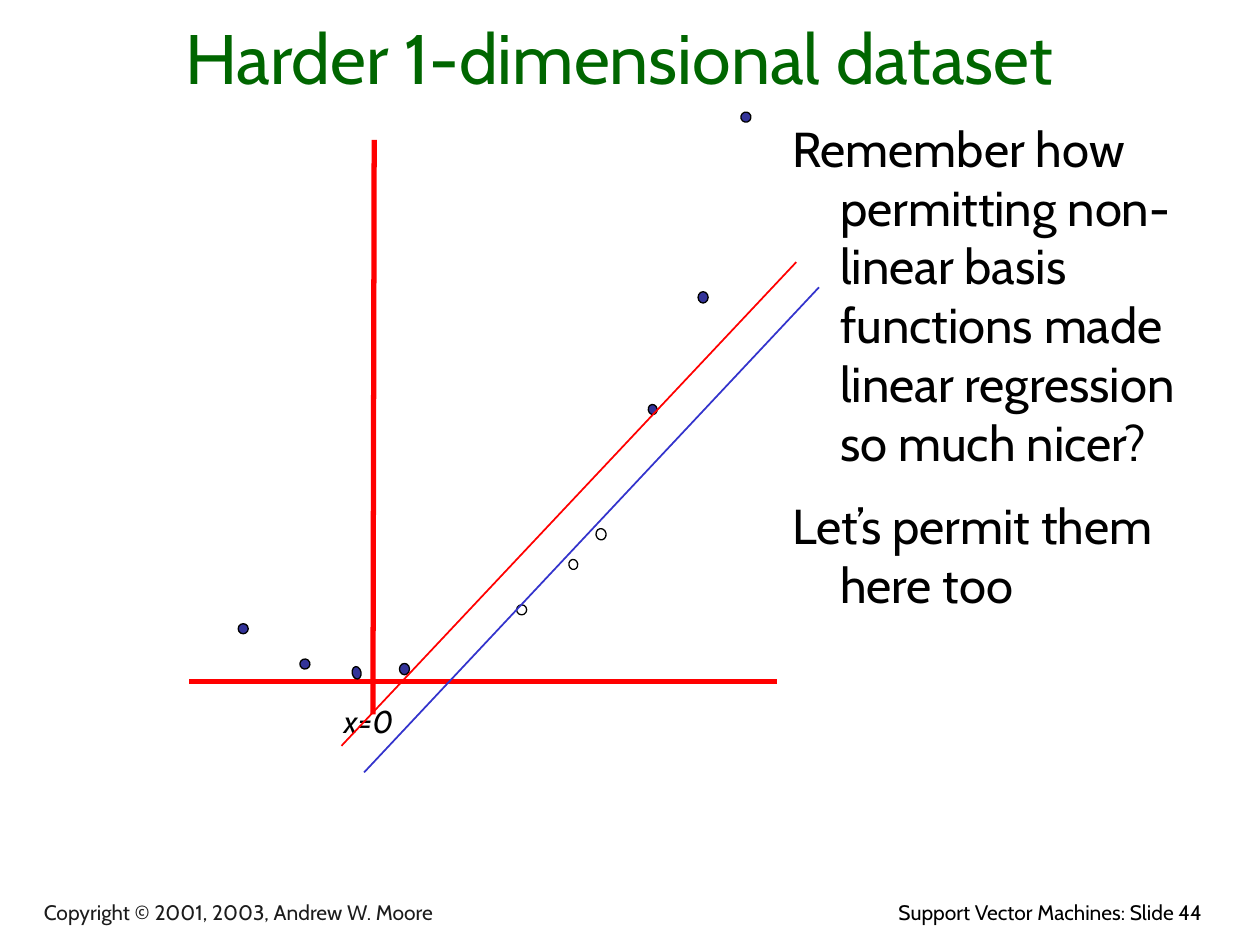
import pptx
import pptx.dml.color
import pptx.enum.shapes
import pptx.enum.text
import pptx.oxml.ns
import pptx.util
from lxml import etree

Inches = pptx.util.Inches
Pt = pptx.util.Pt
ALIGN = pptx.enum.text.PP_ALIGN
ANCHOR = pptx.enum.text.MSO_ANCHOR

FONT = "Cabin"
BLACK, WHITE, RED = "000000", "FFFFFF", "FF0000"
DOT_BLUE, LINE_BLUE = "333399", "3333CC"

# Centre x, centre y, width, height, rotation, fill
DOTS = [
    (2.64, 3.94, 0.08, 0.08, 0, WHITE),
    (0.43, 4.09, 0.08, 0.08, 0, DOT_BLUE),
    (4.08, 1.46, 0.08, 0.09, 0, DOT_BLUE),
    (4.42, 0.03, 0.08, 0.08, 341.4, DOT_BLUE),
    (0.92, 4.37, 0.08, 0.08, 98.3, DOT_BLUE),
    (3.05, 3.58, 0.08, 0.07, 79.6, WHITE),
    (3.68, 2.35, 0.08, 0.07, 79.6, DOT_BLUE),
    (1.33, 4.44, 0.10, 0.07, 79.6, DOT_BLUE),
    (3.27, 3.34, 0.09, 0.08, 79.6, WHITE),
    (1.71, 4.41, 0.08, 0.09, 0, DOT_BLUE),
]


def rgb(value):
    return pptx.dml.color.RGBColor.from_string(value)


def add_text(slide, box, lines, size, color=BLACK, align=ALIGN.LEFT,
             anchor=ANCHOR.TOP, italic=False, hanging=False):
    """Write one paragraph per line; hanging indents all but its first row."""
    shape = slide.shapes.add_textbox(*map(Inches, box))
    frame = shape.text_frame
    frame.word_wrap = True
    frame.vertical_anchor = anchor
    for index, line in enumerate(lines):
        paragraph = frame.paragraphs[0] if index == 0 else frame.add_paragraph()
        paragraph.text = line
        paragraph.alignment = align
        if index:
            paragraph.space_before = Pt(size / 2)
        if hanging:
            properties = paragraph._p.get_or_add_pPr()
            properties.set("marL", str(Inches(0.38)))
            properties.set("indent", str(Inches(-0.38)))
        font = paragraph.font
        font.name, font.size, font.italic = FONT, Pt(size), italic
        font.color.rgb = rgb(color)


def add_line(slide, start, end, color, width):
    line = slide.shapes.add_connector(
        pptx.enum.shapes.MSO_CONNECTOR.STRAIGHT,
        *map(Inches, (*start, *end)))
    line.line.color.rgb = rgb(color)
    line.line.width = Pt(width)
    etree.SubElement(line._element.spPr, pptx.oxml.ns.qn("a:effectLst"))


def add_dot(slide, center_x, center_y, width, height, rotation, fill):
    dot = slide.shapes.add_shape(
        pptx.enum.shapes.MSO_SHAPE.OVAL,
        Inches(center_x - width / 2), Inches(center_y - height / 2),
        Inches(width), Inches(height))
    dot.rotation = rotation
    dot.shadow.inherit = False
    dot.fill.solid()
    dot.fill.fore_color.rgb = rgb(fill)
    dot.line.color.rgb = rgb(BLACK)
    dot.line.width = Pt(0.75)


def add_plot(slide, left, top):
    def place(x, y):
        return left + x, top + y

    # Axes
    add_line(slide, place(1.47, 0.21), place(1.46, 4.77), RED, 3)
    add_line(slide, place(0, 4.51), place(4.67, 4.51), RED, 3)

    # Data points
    for x, y, *style in DOTS:
        add_dot(slide, *place(x, y), *style)

    # Origin label
    add_text(slide, (*place(1.13, 4.62), 0.99, 0.4), ["x=0"], 18,
             italic=True, hanging=True)

    # Separating lines
    add_line(slide, place(1.39, 5.23), place(5, 1.38), LINE_BLUE, 1)
    add_line(slide, place(1.21, 5.02), place(4.82, 1.18), RED, 1)


def add_footer(slide, left, top, width):
    add_text(slide, (left + width - 3.92, top, 3.92, 0.3),
             ["Support Vector Machines: Slide 44"], 12, align=ALIGN.RIGHT)
    add_text(slide, (left, top + 0.02, 5.55, 0.28),
             ["Copyright © 2001, 2003, Andrew W. Moore"], 12, "1C1C1C",
             anchor=ANCHOR.BOTTOM)


def main():
    presentation = pptx.Presentation()
    presentation.slide_width = Inches(10)
    presentation.slide_height = Inches(7.5)
    slide = presentation.slides.add_slide(presentation.slide_layouts[6])

    add_footer(slide, 0.25, 7.09, 9.39)

    # Title
    add_text(slide, (0.25, 0.08, 9.33, 0.75), ["Harder 1-dimensional dataset"],
             40, "006600", ALIGN.CENTER, ANCHOR.BOTTOM)

    # Commentary beside the plot
    add_text(slide, (6.19, 0.89, 3.65, 4.07), [
        "Remember how permitting non-linear basis functions made "
        "linear regression so much nicer?",
        "Let’s permit them here too",
    ], 28, hanging=True)

    add_plot(slide, 1.5, 0.9)
    presentation.save("out.pptx")


if __name__ == "__main__":
    main()
